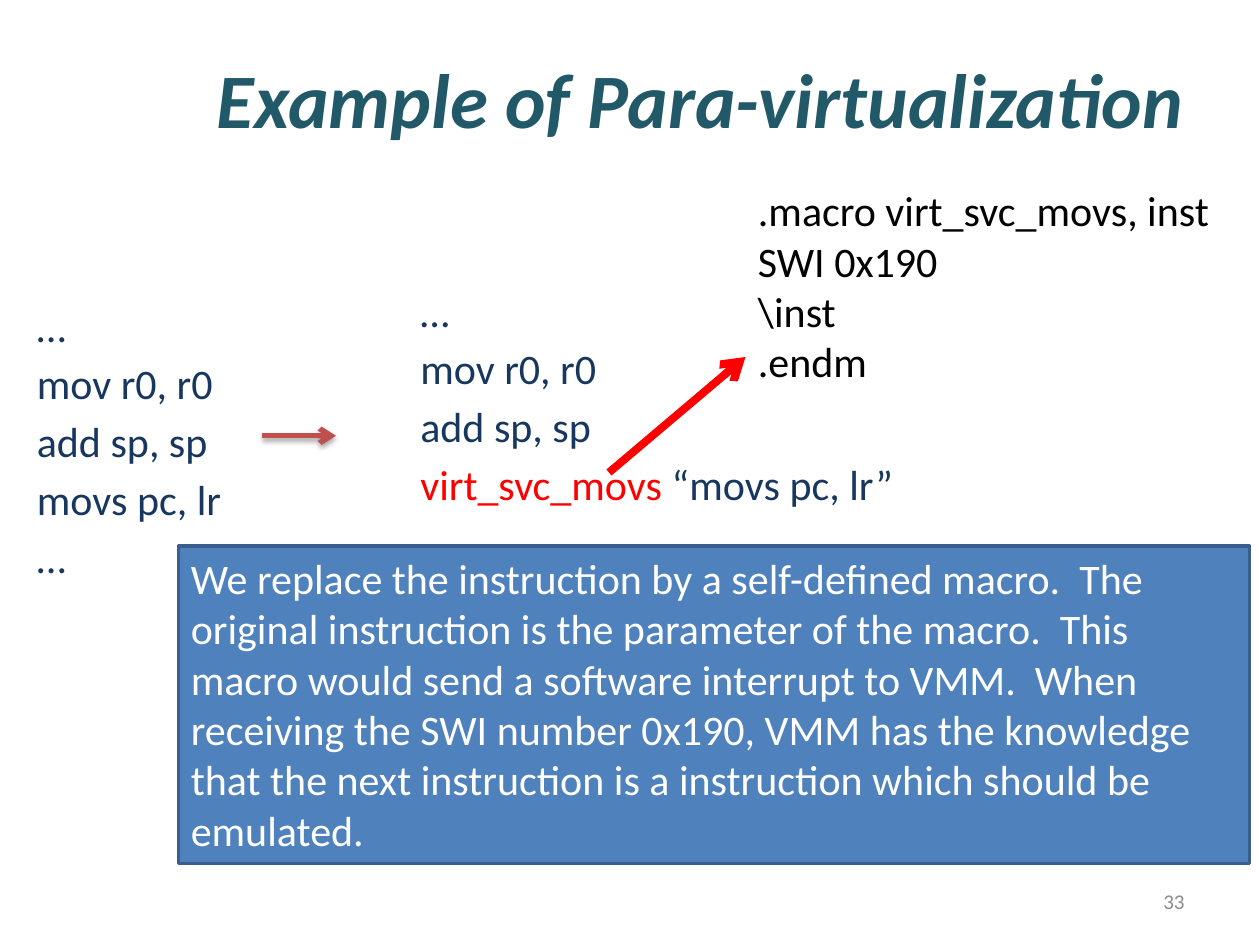
from dataclasses import dataclass
from typing import Optional

from lxml import etree
from pptx import Presentation
from pptx.dml.color import RGBColor
from pptx.enum.shapes import MSO_CONNECTOR, MSO_SHAPE
from pptx.enum.text import MSO_ANCHOR, MSO_AUTO_SIZE, PP_ALIGN
from pptx.oxml.ns import qn
from pptx.util import Pt


@dataclass(frozen=True)
class Theme:
    font: str = "Calibri"
    title: str = "215968"
    code: str = "17375E"
    accent: str = "FF0000"
    plain: str = "000000"
    light: str = "FFFFFF"
    muted: str = "8C8C8C"
    box_fill: str = "4F81BD"
    box_line: str = "3A5F8C"
    step_arrow: str = "C0504D"
    title_size: float = 44
    text_size: float = 24
    number_size: float = 12
    code_gap: float = 4.2
    code_indent: float = 5
    code_top: float = 37


@dataclass(frozen=True)
class Box:
    left: float
    top: float
    width: float
    height: float


@dataclass(frozen=True)
class Span:
    text: str
    color: str
    size: float = 24


@dataclass(frozen=True)
class Arrow:
    start: tuple[float, float]
    end: tuple[float, float]
    color: str
    width: float
    shadow: Optional[dict[str, str]] = None


THEME = Theme()
Lines = list[list[Span]]


def place(shape, box: Box) -> None:
    shape.left, shape.top = Pt(box.left), Pt(box.top)
    shape.width, shape.height = Pt(box.width), Pt(box.height)


def add_text_box(slide, box: Box):
    return slide.shapes.add_textbox(
        Pt(box.left), Pt(box.top), Pt(box.width), Pt(box.height))


def write(shape, lines: Lines, align=PP_ALIGN.LEFT, anchor=MSO_ANCHOR.TOP,
          bold: bool = False, italic: bool = False) -> None:
    frame = shape.text_frame
    frame.word_wrap = True
    frame.auto_size = MSO_AUTO_SIZE.NONE
    frame.vertical_anchor = anchor
    for number, spans in enumerate(lines):
        paragraph = frame.add_paragraph() if number else frame.paragraphs[0]
        paragraph.alignment = align
        for span in spans:
            run = paragraph.add_run()
            run.text = span.text
            font = run.font
            font.name, font.size = THEME.font, Pt(span.size)
            font.bold, font.italic = bold, italic
            font.color.rgb = RGBColor.from_string(span.color)


def write_code(shape, lines: Lines) -> None:
    """Write an unbulleted listing, evenly spaced."""
    write(shape, lines)
    shape.text_frame.margin_top = Pt(THEME.code_top)
    for number, paragraph in enumerate(shape.text_frame.paragraphs):
        paragraph.space_before = Pt(THEME.code_gap if number else 0)
        properties = paragraph._p.get_or_add_pPr()
        properties.set("marL", str(Pt(THEME.code_indent)))
        properties.set("indent", "0")
        etree.SubElement(properties, qn("a:buNone"))


def draw_arrow(slide, arrow: Arrow) -> None:
    ends = [Pt(value) for value in arrow.start + arrow.end]
    connector = slide.shapes.add_connector(MSO_CONNECTOR.STRAIGHT, *ends)
    connector.line.color.rgb = RGBColor.from_string(arrow.color)
    connector.line.width = Pt(arrow.width)
    etree.SubElement(connector.line._ln, qn("a:tailEnd"), type="arrow")
    effects = etree.SubElement(connector._element.spPr, qn("a:effectLst"))
    if arrow.shadow:
        shadow = etree.SubElement(effects, qn("a:outerShdw"), arrow.shadow)
        color = etree.SubElement(shadow, qn("a:srgbClr"), val=THEME.plain)
        etree.SubElement(color, qn("a:alpha"), val="35000")


def code(*texts: str) -> Lines:
    return [[Span(text, THEME.code)] for text in texts]


presentation = Presentation()
presentation.slide_width, presentation.slide_height = Pt(720), Pt(540)
slide = presentation.slides.add_slide(presentation.slide_layouts[1])

# Title
title = slide.shapes.title
place(title, Box(36, 21.6, 648, 68.4))
write(title, [[Span("Example of Para-virtualization", THEME.title, THEME.title_size)]],
      PP_ALIGN.RIGHT, MSO_ANCHOR.MIDDLE, bold=True, italic=True)

# Code after the replacement
new_code = slide.placeholders[1]
place(new_code, Box(228, 126, 456, 356.4))
write_code(new_code, code("…", "mov r0, r0", "add sp, sp") + [
    [Span("virt_svc_movs ", THEME.accent), Span("“movs pc, lr”", THEME.code)]])

# Slide number
write(add_text_box(slide, Box(516, 500.4, 168, 28.8)),
      [[Span("33", THEME.muted, THEME.number_size)]],
      PP_ALIGN.RIGHT, MSO_ANCHOR.MIDDLE)

# Macro definition and the arrow leading to it
macro = (".macro virt_svc_movs, inst", "SWI 0x190", "\\inst", ".endm")
write(add_text_box(slide, Box(426, 102, 278, 124)),
      [[Span(text, THEME.plain)] for text in macro])
draw_arrow(slide, Arrow((348, 270), (426, 204), THEME.accent, 4.5))

# Explanation
note_box = Box(102, 312, 612, 181.5)
note = slide.shapes.add_shape(
    MSO_SHAPE.RECTANGLE, Pt(note_box.left), Pt(note_box.top),
    Pt(note_box.width), Pt(note_box.height))
note.shadow.inherit = False
note.fill.solid()
note.fill.fore_color.rgb = RGBColor.from_string(THEME.box_fill)
note.line.color.rgb = RGBColor.from_string(THEME.box_line)
note.line.width = Pt(2)
write(note, [[Span(
    "We replace the instruction by a self-defined macro.  The original "
    "instruction is the parameter of the macro.  This macro would send a "
    "software interrupt to VMM.  When receiving the SWI number 0x190, VMM has "
    "the knowledge that the next instruction is a instruction which should be "
    "emulated.", THEME.light, THEME.text_size)]])

# Code before the replacement and the step arrow
write_code(add_text_box(slide, Box(9, 134.5, 150, 195)),
           code("…", "mov r0, r0", "add sp, sp", "movs pc, lr", "…"))
draw_arrow(slide, Arrow(
    (150, 249), (192, 249), THEME.step_arrow, 3,
    {"blurRad": str(Pt(3.1)), "dist": str(Pt(1.8)), "dir": "5400000",
     "rotWithShape": "0"}))

presentation.save("out.pptx")
